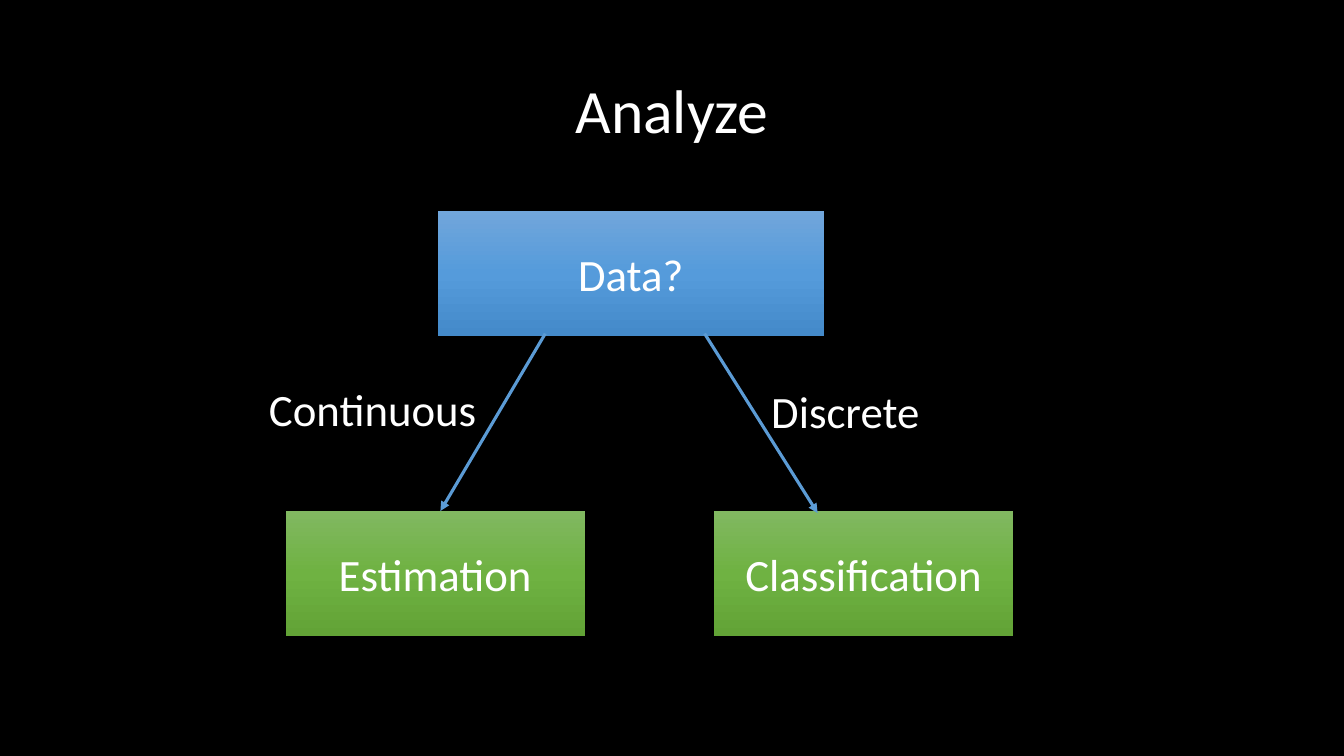
"""Build the Analyze slide: a data question that leads to two methods."""
from copy import deepcopy

from pptx import Presentation
from pptx.dml.color import RGBColor
from pptx.enum import shapes, text
from pptx.oxml import ns
from pptx.util import Pt

BLACK = RGBColor(0x00, 0x00, 0x00)
WHITE = RGBColor(0xFF, 0xFF, 0xFF)
LINE = RGBColor(0x5B, 0x9B, 0xD5)
BLUES = [RGBColor(0x71, 0xA6, 0xDB), RGBColor(0x55, 0x9B, 0xDB), RGBColor(0x44, 0x8A, 0xCA)]
GREENS = [RGBColor(0x81, 0xB8, 0x61), RGBColor(0x6F, 0xB2, 0x42), RGBColor(0x62, 0xA3, 0x36)]

deck = Presentation()
deck.slide_width, deck.slide_height = Pt(960), Pt(540)
slide = deck.slides.add_slide(deck.slide_layouts[6])
slide.background.fill.solid()
slide.background.fill.fore_color.rgb = BLACK


def write(shape, words, size=32, align=text.PP_ALIGN.CENTER,
          anchor=text.MSO_ANCHOR.MIDDLE, space=1.0):
    """Put one formatted line of text in a shape."""
    frame = shape.text_frame
    frame.word_wrap = True
    frame.vertical_anchor = anchor
    para = frame.paragraphs[0]
    para.alignment = align
    para.line_spacing = space
    run = para.add_run()
    run.text = words
    run.font.name = "Calibri"
    run.font.size = Pt(size)
    run.font.color.rgb = WHITE


title = slide.shapes.add_textbox(Pt(66), Pt(28.8), Pt(828), Pt(104.4))
write(title, "Analyze", size=44, space=0.9)

for words, left, top, width, shades in [
    ("Data?", 312.7, 150.5, 275.8, BLUES),
    ("Estimation", 204, 365, 213.8, GREENS),
    ("Classification", 510, 365, 213.8, GREENS),
]:
    box = slide.shapes.add_shape(
        shapes.MSO_SHAPE.RECTANGLE, Pt(left), Pt(top), Pt(width), Pt(89.3))
    box.shadow.inherit = False
    box.line.fill.background()
    box.fill.gradient()
    box.fill.gradient_angle = 270
    stops = box.element.spPr.find(".//" + ns.qn("a:gsLst"))
    stops.append(deepcopy(stops[0]))
    for index, (stop, shade) in enumerate(zip(box.fill.gradient_stops, shades)):
        stop.position = index / 2
        stop.color.rgb = shade
    write(box, words)

for start, end, base in [(503.3, 584, 366.5), (389.5, 314.6, 365)]:
    arrow = slide.shapes.add_connector(
        shapes.MSO_CONNECTOR.STRAIGHT, Pt(start), Pt(238.3), Pt(end), Pt(base))
    arrow.line.color.rgb = LINE
    arrow.line.width = Pt(2.25)
    props = arrow.element.spPr
    tail = props.find(ns.qn("a:ln")).makeelement(ns.qn("a:tailEnd"), {"type": "triangle"})
    props.find(ns.qn("a:ln")).append(tail)
    props.append(props.makeelement(ns.qn("a:effectLst"), {}))

for words, left, top, width in [("Continuous", 185, 269.3, 167), ("Discrete", 543.8, 270.5, 185.8)]:
    label = slide.shapes.add_textbox(Pt(left), Pt(top), Pt(width), Pt(46))
    write(label, words, align=text.PP_ALIGN.LEFT, anchor=text.MSO_ANCHOR.TOP)

deck.save("out.pptx")
